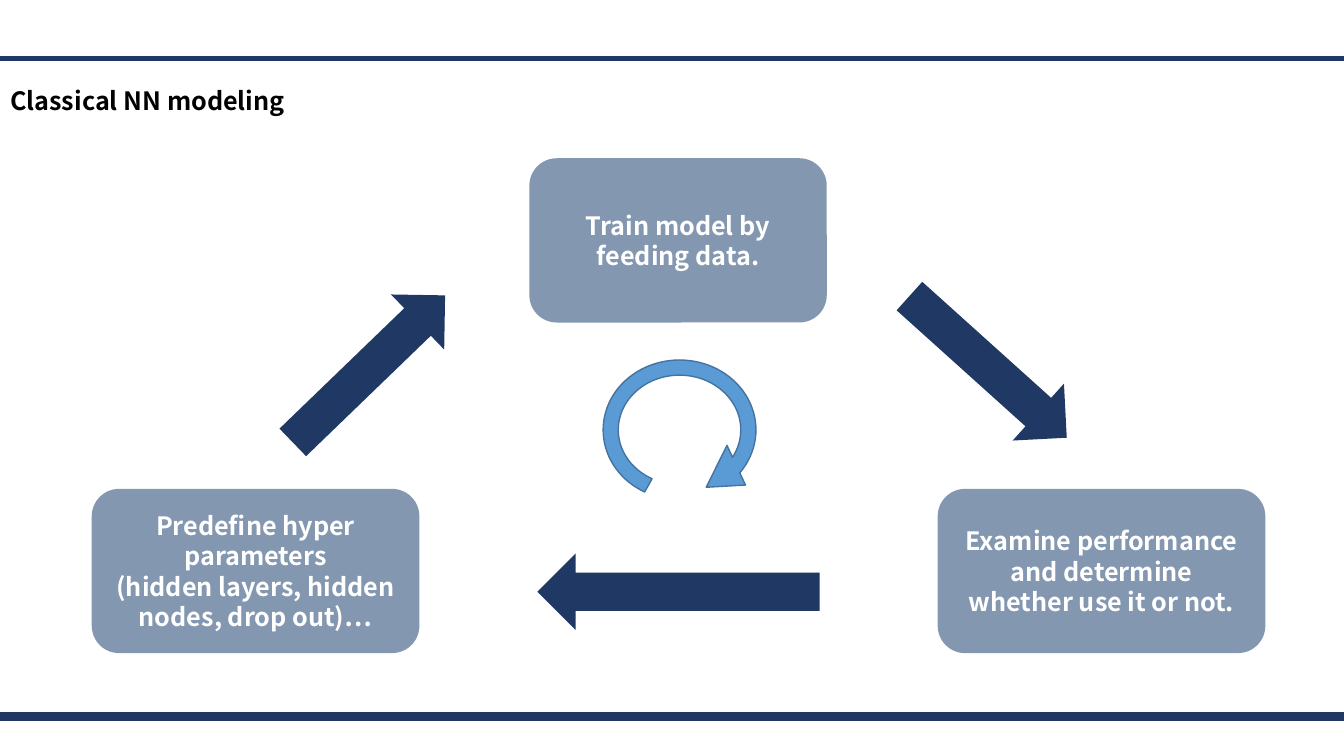
from lxml import etree
from pptx import Presentation
from pptx.dml.color import RGBColor
from pptx.enum.shapes import MSO_CONNECTOR, MSO_SHAPE
from pptx.enum.text import MSO_ANCHOR, MSO_AUTO_SIZE, PP_ALIGN
from pptx.oxml.ns import qn
from pptx.util import Inches, Pt

NAVY = RGBColor(0x20, 0x38, 0x64)
SLATE = RGBColor(0x84, 0x97, 0xB0)
BLUE = RGBColor(0x5B, 0x9B, 0xD5)
BLUE_EDGE = RGBColor(0x43, 0x73, 0x9E)
WHITE = RGBColor(0xFF, 0xFF, 0xFF)
BLACK = RGBColor(0x00, 0x00, 0x00)

SLIDE_WIDTH, SLIDE_HEIGHT = 13.33, 7.5
STEP_HEIGHT = 1.63
ARROW_HEIGHT = 0.76
LOWER_ROW = 4.85


class CycleSlide:
    """Hold the style and the current slide, and draw each kind of element."""

    font_name = "Noto Sans CJK KR"
    font_size = Pt(18)

    def __init__(self, slide):
        self.slide = slide

    def format_text(self, text_frame, color, alignment):
        for paragraph in text_frame.paragraphs:
            paragraph.alignment = alignment
            paragraph.line_spacing = 1.0
            for run in paragraph.runs:
                run.font.name = self.font_name
                run.font.size = self.font_size
                run.font.bold = True
                run.font.color.rgb = color

    def title(self, text, left, top, width, height):
        heading = self.slide.shapes.title
        heading.left, heading.top = Inches(left), Inches(top)
        heading.width, heading.height = Inches(width), Inches(height)
        frame = heading.text_frame
        frame.text = text
        frame.word_wrap = False
        frame.auto_size = MSO_AUTO_SIZE.SHAPE_TO_FIT_TEXT
        frame.vertical_anchor = MSO_ANCHOR.TOP
        self.format_text(frame, BLACK, PP_ALIGN.LEFT)

    def rule(self, top, weight):
        line = self.slide.shapes.add_connector(
            MSO_CONNECTOR.STRAIGHT, 0, Inches(top), Inches(SLIDE_WIDTH), Inches(top))
        line.line.color.rgb = NAVY
        line.line.width = Pt(weight)
        etree.SubElement(line._element.spPr, qn("a:effectLst"))

    def block(self, preset, left, top, width, height, fill):
        shape = self.slide.shapes.add_shape(
            preset, Inches(left), Inches(top), Inches(width), Inches(height))
        shape.shadow.inherit = False
        shape.fill.solid()
        shape.fill.fore_color.rgb = fill
        shape.line.fill.background()
        return shape

    def step(self, text, left, top, width):
        box = self.block(MSO_SHAPE.ROUNDED_RECTANGLE, left, top, width, STEP_HEIGHT, SLATE)
        frame = box.text_frame
        frame.text = text
        frame.word_wrap = True
        frame.vertical_anchor = MSO_ANCHOR.MIDDLE
        self.format_text(frame, WHITE, PP_ALIGN.CENTER)

    def arrow(self, left, top, width, rotation):
        arrow = self.block(MSO_SHAPE.RIGHT_ARROW, left, top, width, ARROW_HEIGHT, NAVY)
        arrow.rotation = rotation

    def loop(self, left, top, width, height, adjustments):
        loop = self.block(MSO_SHAPE.CIRCULAR_ARROW, left, top, width, height, BLUE)
        loop.line.color.rgb = BLUE_EDGE
        loop.line.width = Pt(1)
        for index, value in enumerate(adjustments):
            loop.adjustments[index] = value


def main():
    presentation = Presentation()
    presentation.slide_width = Inches(SLIDE_WIDTH)
    presentation.slide_height = Inches(SLIDE_HEIGHT)
    cycle = CycleSlide(presentation.slides.add_slide(presentation.slide_layouts[5]))

    cycle.rule(0.58, 3)
    cycle.rule(7.11, 6)
    cycle.title("Classical NN modeling", 0, 0.8, 3.08, 0.4)

    cycle.step("Predefine hyper parameters\n(hidden layers, hidden nodes, drop out)…",
               0.91, LOWER_ROW, 3.25)
    cycle.step("Train model by feeding data.", 5.25, 1.57, 2.95)
    cycle.step("Examine performance and determine whether use it or not.",
               9.3, LOWER_ROW, 3.25)

    cycle.arrow(2.61, 3.28, 2.1, 316)
    cycle.arrow(8.75, 3.26, 2.1, 42)
    cycle.arrow(5.33, 5.49, 2.8, 180)
    cycle.loop(5.84, 3.43, 1.8, 1.67, (0.09, 19.84, 19.17, 71.58, 0.13))

    presentation.save("out.pptx")


if __name__ == "__main__":
    main()
